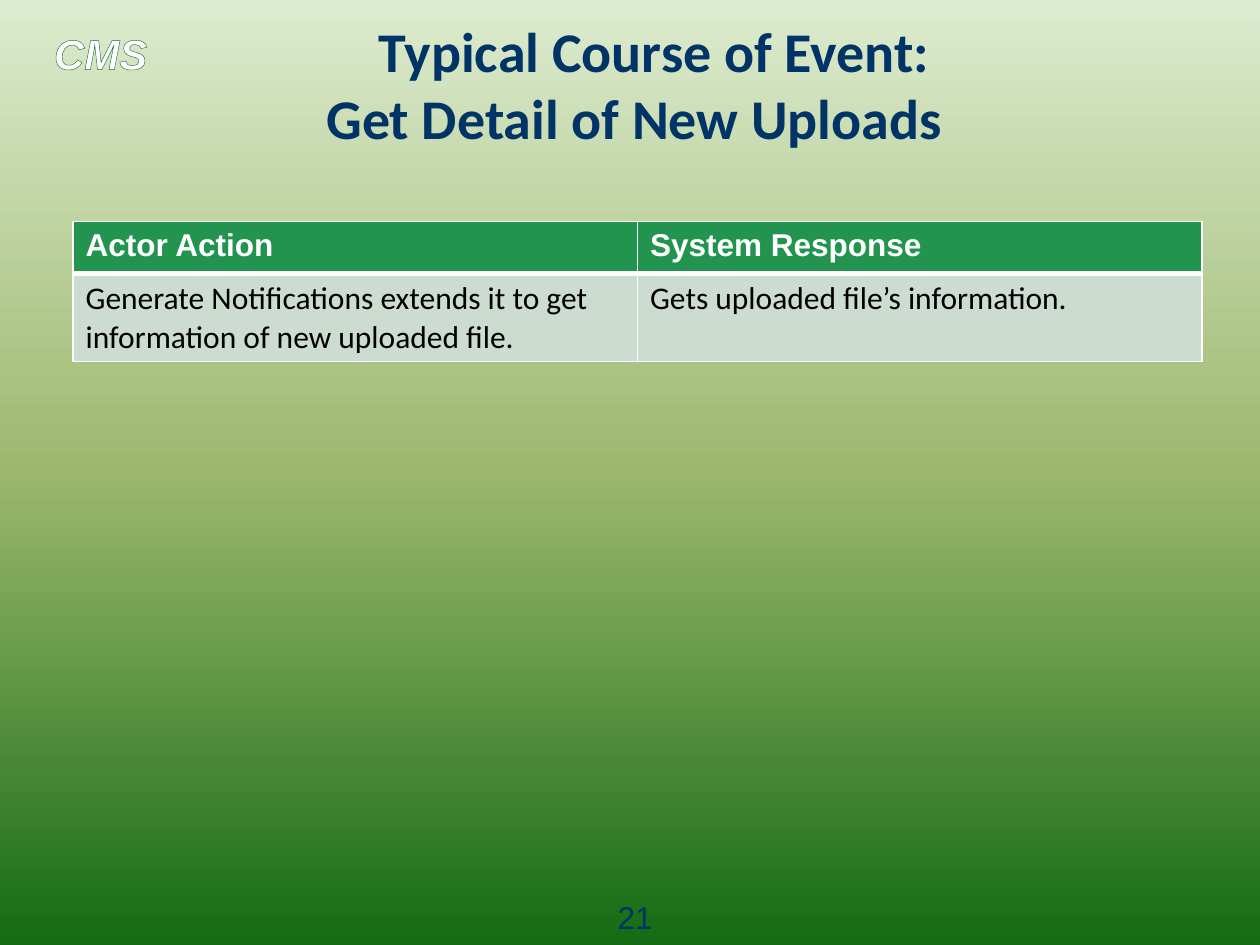
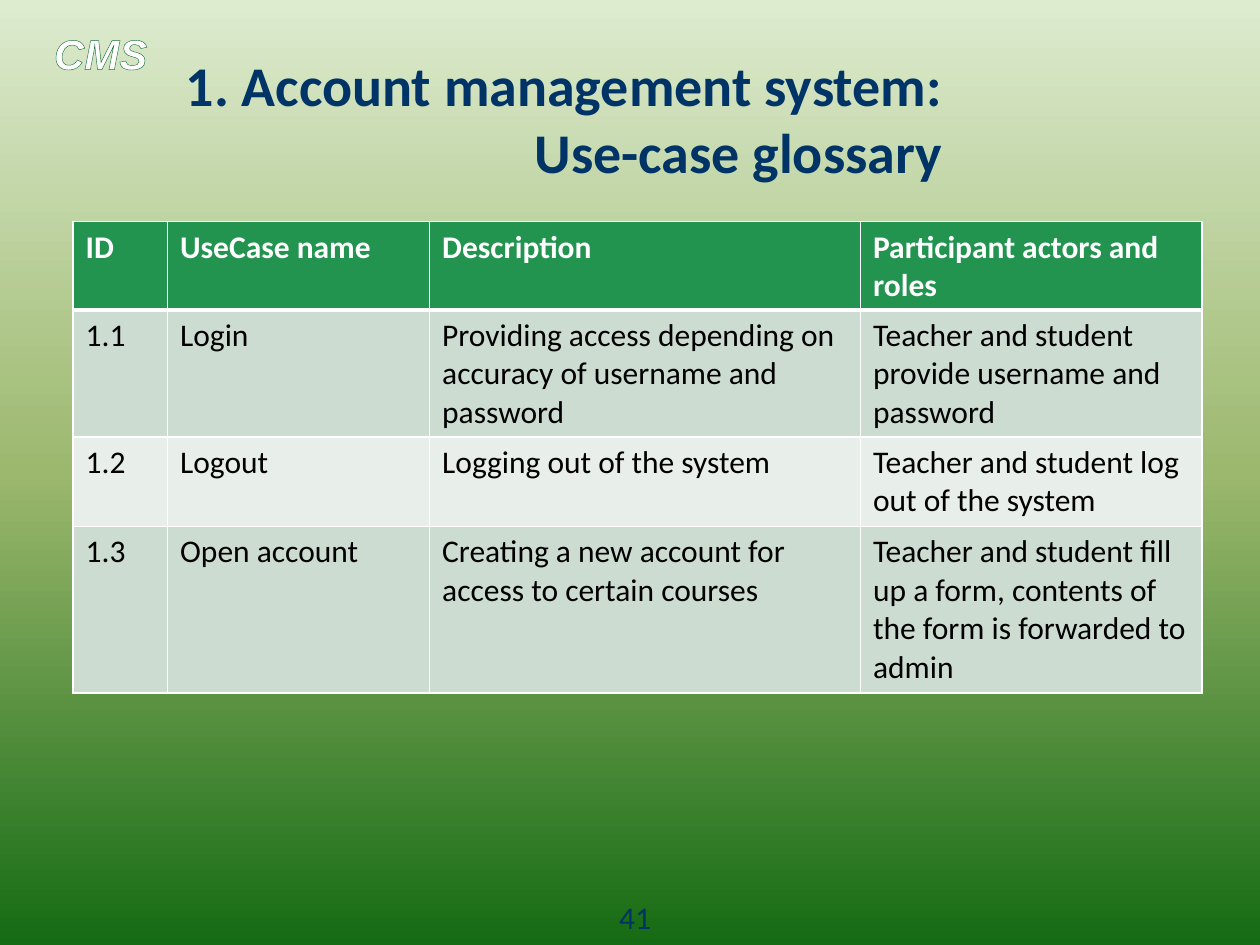
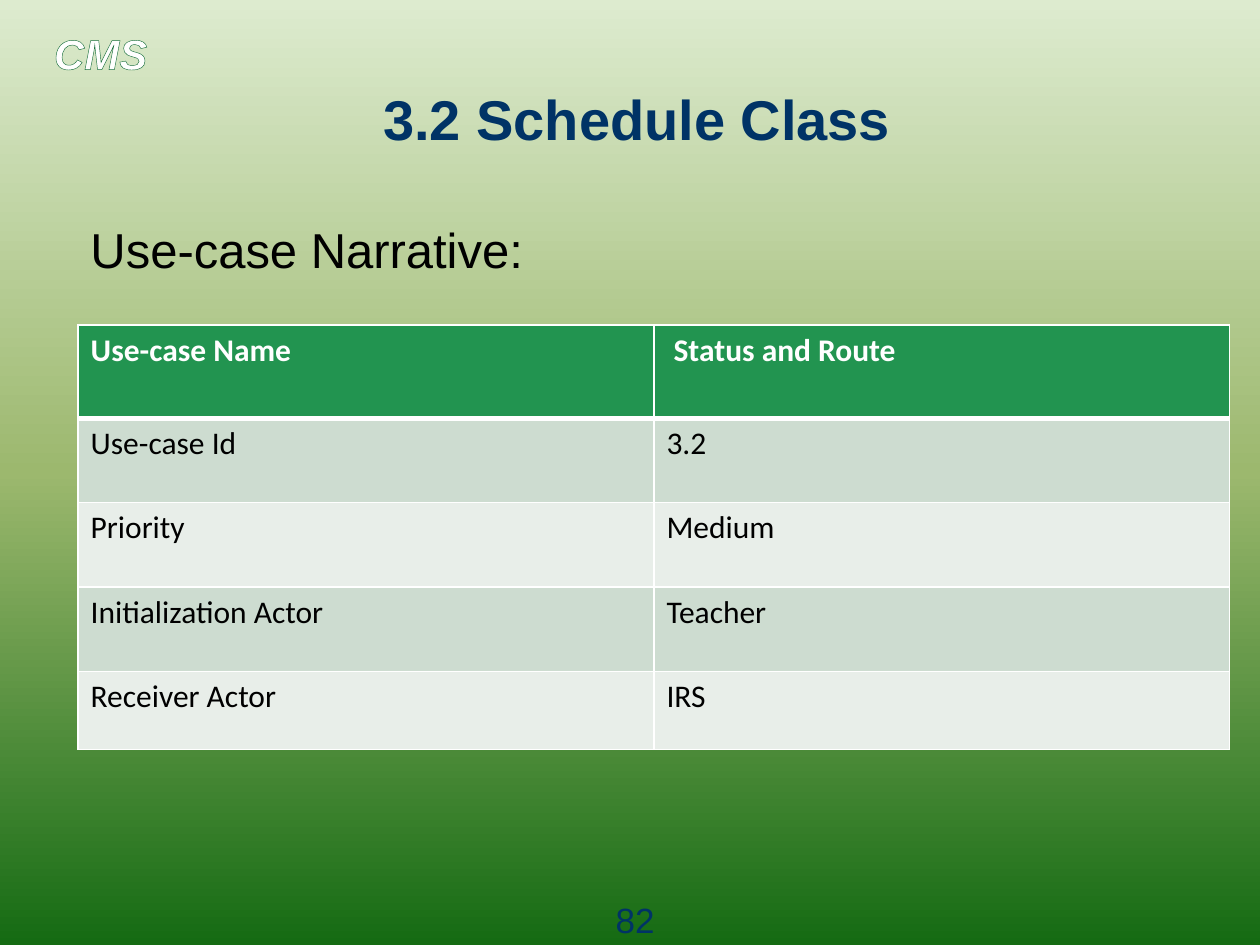
from copy import deepcopy
from pptx import Presentation
from pptx.dml.color import RGBColor
from pptx.enum.text import MSO_ANCHOR, PP_ALIGN
from pptx.oxml import parse_xml
from pptx.util import Inches, Pt

NS = "http://schemas.openxmlformats.org/drawingml/2006/main"
NAVY, WHITE, BLACK = "003366", "FFFFFF", "000000"
HEAD, BANDS = "229450", ["CDDCD0", "E8EEE9"]
LEFT, RIGHT, MID = PP_ALIGN.LEFT, PP_ALIGN.RIGHT, PP_ALIGN.CENTER


def hue(code):
    return RGBColor.from_string(code)


def write(frame, text, face, size, color, bold=False, align=LEFT):
    frame.word_wrap = True
    frame.text = text
    for para in frame.paragraphs:
        para.alignment = align
        para.font.name = face
        para.font.size = Pt(size)
        para.font.bold = bold
        para.font.color.rgb = hue(color)


pages = [
    dict(
        title="Typical Course of Event: \nGet Detail of New Uploads",
        face="Calibri", spot=(0.58, 0.4), note="", page=("21", "Arial", 18),
        top=(0.58, 1.76), cols=[4.48, 4.48], rows=[0.41, 0.7], head="Arial",
        cells=[
            ["Actor Action", "System Response"],
            ["Generate Notifications extends it to get information of new uploaded file.",
             "Gets uploaded file’s information."],
        ],
    ),
    dict(
        title="1. Account management system: Use-case glossary",
        face="Calibri", spot=(0.58, 0.67), note="", page=("41", "Calibri", 18),
        top=(0.58, 1.76), cols=[0.75, 2.08, 3.42, 2.71],
        rows=[0.7, 1.01, 0.71, 1.32], head="Calibri",
        cells=[
            ["ID", "UseCase name", "Description", "Participant actors and roles"],
            ["1.1", "Login",
             "Providing access depending on accuracy of username and password",
             "Teacher and student provide username and password"],
            ["1.2", "Logout", "Logging out of the system",
             "Teacher and student log out of the system"],
            ["1.3", "Open account",
             "Creating a new account for access to certain courses",
             "Teacher and student fill up a form, contents of the form is forwarded to admin"],
        ],
    ),
    dict(
        title="3.2 Schedule Class",
        face="Arial", spot=(0.17, 0.67), note="Use-case Narrative:",
        page=("82", "Arial", 20),
        top=(0.62, 2.58), cols=[4.57, 4.57],
        rows=[0.74, 0.67, 0.67, 0.67, 0.62], head="Calibri",
        cells=[
            ["Use-case Name", " Status and Route"],
            ["Use-case Id", "3.2"],
            ["Priority", "Medium"],
            ["Initialization Actor", "Teacher"],
            ["Receiver Actor", "IRS"],
        ],
    ),
]

deck = Presentation()
deck.slide_width, deck.slide_height = Inches(10), Inches(7.5)

master = deck.slide_master
fill = master.background.fill
fill.gradient()
fill.gradient_angle = 270
stops = master.element.xpath("./p:cSld/p:bg//a:gsLst")[0]
stops.insert(1, deepcopy(stops[0]))
for stop, place, color in zip(
    fill.gradient_stops, [0, 0.5, 1], ["DDEBCF", "9CB86E", "156B13"]
):
    stop.position = place
    stop.color.rgb = hue(color)

for page in pages:
    slide = deck.slides.add_slide(deck.slide_layouts[6])
    shapes = slide.shapes

    mark = shapes.add_textbox(Inches(0.33), Inches(0.17), Inches(1.5), Inches(0.5))
    write(mark.text_frame, "CMS", "Arial", 24, WHITE, True)
    para = mark.text_frame.paragraphs[0]
    para.font.italic = True
    para.runs[0].font.language_id = None
    para.runs[0].font._element.insert(0, parse_xml(
        f'<a:ln xmlns:a="{NS}" w="12700"><a:solidFill>'
        '<a:srgbClr val="196F3C"/></a:solidFill></a:ln>'
    ))

    left, top = page["spot"]
    title = shapes.add_textbox(Inches(left), Inches(top), Inches(7), Inches(0.53))
    title.text_frame.vertical_anchor = MSO_ANCHOR.MIDDLE
    write(title.text_frame, page["title"], page["face"], 32, NAVY, True, RIGHT)

    if page["note"]:
        note = shapes.add_textbox(Inches(0.62), Inches(1.69), Inches(8.96), Inches(0.6))
        write(note.text_frame, page["note"], "Arial", 28, BLACK)

    left, top = page["top"]
    cols, rows = page["cols"], page["rows"]
    grid = shapes.add_table(
        len(rows), len(cols), Inches(left), Inches(top),
        Inches(sum(cols)), Inches(sum(rows)),
    ).table
    for col, width in zip(grid.columns, cols):
        col.width = Inches(width)
    for row, height in zip(grid.rows, rows):
        row.height = Inches(height)
    for r, line in enumerate(page["cells"]):
        for c, text in enumerate(line):
            cell = grid.cell(r, c)
            if r == 0:
                write(cell.text_frame, text, page["head"], 18, WHITE, True)
            else:
                write(cell.text_frame, text, "Calibri", 18, BLACK)
            props = cell._tc.get_or_add_tcPr()
            for side in "LRTB":
                thick = (r, side) in [(0, "B"), (1, "T")]
                props.append(parse_xml(
                    f'<a:ln{side} xmlns:a="{NS}" w="{38100 if thick else 12700}">'
                    f'<a:solidFill><a:srgbClr val="{WHITE}"/></a:solidFill></a:ln{side}>'
                ))
            cell.fill.solid()
            cell.fill.fore_color.rgb = hue(BANDS[(r - 1) % 2] if r else HEAD)

    text, face, size = page["page"]
    foot = shapes.add_textbox(Inches(4.58), Inches(7.08), Inches(0.92), Inches(0.29))
    write(foot.text_frame, text, face, size, NAVY, align=MID)

deck.save("out.pptx")
